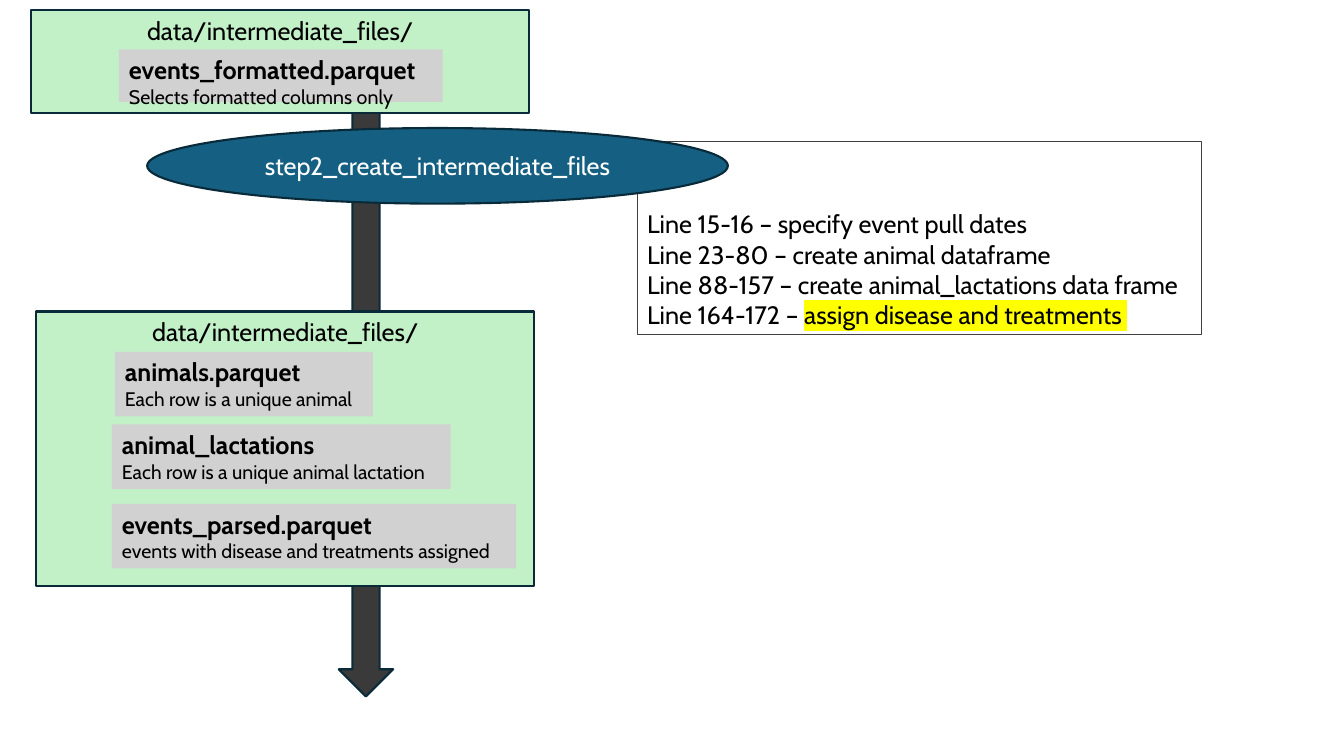
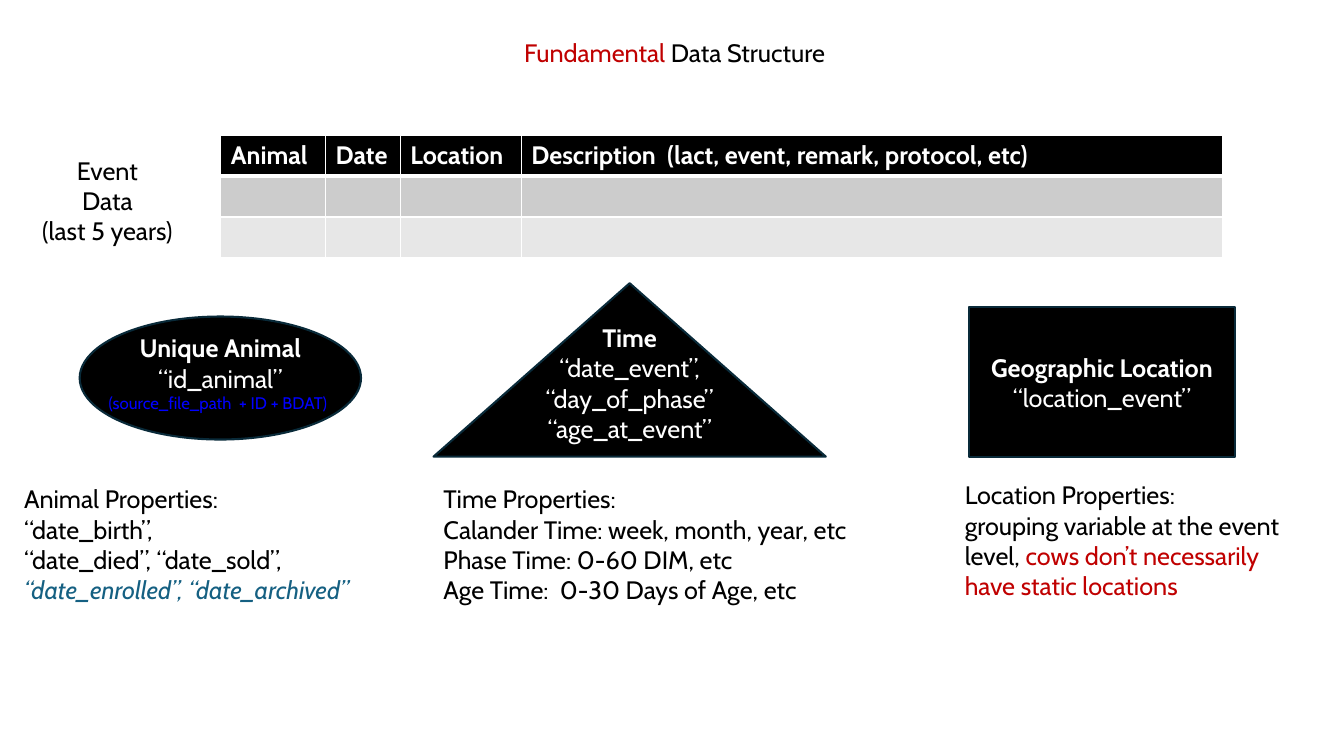
import pptx
import pptx.util
import pptx.dml.color
import pptx.enum.shapes
import pptx.enum.text
import pptx.oxml
import pptx.oxml.ns

Inches = pptx.util.Inches
Pt = pptx.util.Pt
RGBColor = pptx.dml.color.RGBColor
SHAPE = pptx.enum.shapes.MSO_SHAPE
ALIGN = pptx.enum.text.PP_ALIGN
ANCHOR = pptx.enum.text.MSO_ANCHOR

BLACK = RGBColor(0x00, 0x00, 0x00)
WHITE = RGBColor(0xFF, 0xFF, 0xFF)
NAVY = RGBColor(0x09, 0x2A, 0x39)
TEAL = RGBColor(0x15, 0x60, 0x82)
MINT = RGBColor(0xC2, 0xF1, 0xC8)
SILVER = RGBColor(0xD1, 0xD1, 0xD1)
CHARCOAL = RGBColor(0x3A, 0x3A, 0x3A)
FRAME = RGBColor(0x40, 0x40, 0x40)
RED = RGBColor(0xC0, 0x00, 0x00)
BLUE = RGBColor(0x00, 0x00, 0xFF)
YELLOW = RGBColor(0xFF, 0xFF, 0x00)
ROW_FILLS = [BLACK, RGBColor(0xCC, 0xCC, 0xCC), RGBColor(0xE7, 0xE7, 0xE7)]

BODY = {"name": "Cabin", "size": Pt(18), "bold": False, "italic": False}
BOLD = {"bold": True}
DETAIL = {"size": Pt(14)}


def set_highlight(span, color):
    properties = span.font._element
    mark = pptx.oxml.parse_xml(
        f'<a:highlight {pptx.oxml.ns.nsdecls("a")}><a:srgbClr val="{color}"/></a:highlight>')
    properties.find(pptx.oxml.ns.qn("a:solidFill")).addnext(mark)


def write_span(para, text, style):
    span = para.add_run()
    span.text = text
    style = dict(style)
    span.font.color.rgb = style.pop("color")
    highlight = style.pop("highlight", None)
    if highlight is not None:
        set_highlight(span, highlight)
    for name, value in style.items():
        setattr(span.font, name, value)


def write_lines(frame, lines, color=BLACK, align=ALIGN.LEFT, anchor=ANCHOR.TOP, bottom=0.05):
    layout = {"word_wrap": True, "vertical_anchor": anchor, "margin_bottom": Inches(bottom)}
    for name, value in layout.items():
        setattr(frame, name, value)
    for index, line in enumerate(lines):
        para = frame.paragraphs[0] if index == 0 else frame.add_paragraph()
        para.alignment = align
        for text, style in [(line, {})] if isinstance(line, str) else line:
            write_span(para, text, {**BODY, "color": color, **style})


def add_figure(page, kind, box, fill=None, line=NAVY, weight=1.5, lines=(), **layout):
    figure = page.shapes.add_shape(kind, *map(Inches, box))
    figure.shadow.inherit = False
    if fill is None:
        figure.fill.background()
    else:
        figure.fill.solid()
        figure.fill.fore_color.rgb = fill
    if line is None:
        figure.line.fill.background()
    else:
        figure.line.color.rgb = line
        figure.line.width = Pt(weight)
    write_lines(figure.text_frame, lines, **layout)


def add_text(page, box, lines, **layout):
    write_lines(page.shapes.add_textbox(*map(Inches, box)).text_frame, lines, **layout)


def add_folder(page, box, files):
    left, top = box[:2]
    add_figure(page, SHAPE.RECTANGLE, box, MINT,
               lines=["data/intermediate_files/"], align=ALIGN.CENTER)
    for (x, y, width, height), name, detail in files:
        add_figure(page, SHAPE.RECTANGLE, (left + x, top + y, width, height), SILVER, line=None,
                   lines=[[(name, BOLD)], [(detail, DETAIL)]])


def add_step(page, box, name, notes):
    left, top = box[:2]
    add_figure(page, SHAPE.RECTANGLE, (left + 4.86, top + 0.13, 5.6, 1.92),
               line=FRAME, weight=0.75, lines=notes, anchor=ANCHOR.BOTTOM)
    add_figure(page, SHAPE.OVAL, box, TEAL, lines=[name], color=WHITE,
               align=ALIGN.CENTER, anchor=ANCHOR.MIDDLE)


def build_pipeline(page):
    add_figure(page, SHAPE.DOWN_ARROW, (3.36, 0.81, 0.54, 6.1), CHARCOAL)
    add_folder(page, (0.36, 3.09, 4.94, 2.72), [
        ((0.78, 0.4, 2.56, 0.64), "animals.parquet", "Each row is a unique animal"),
        ((0.75, 1.12, 3.36, 0.64), "animal_lactations", "Each row is a unique animal lactation"),
        ((0.75, 1.91, 4.01, 0.64), "events_parsed.parquet",
         "events with disease and treatments assigned"),
    ])
    add_folder(page, (0.31, 0.1, 4.94, 1.02), [
        ((0.87, 0.39, 3.21, 0.52), "events_formatted.parquet", "Selects formatted columns only"),
    ])
    add_step(page, (1.46, 1.27, 5.76, 0.75), "step2_create_intermediate_files", [
        "Line 15-16 – specify event pull dates",
        "Line 23-80 – create animal dataframe",
        "Line 88-157 – create animal_lactations data frame",
        [("Line 164-172 – ", {}), ("assign disease and treatments ", {"highlight": YELLOW})],
    ])


def set_borders(cell, bottom):
    properties = cell._tc.get_or_add_tcPr()
    for index, (side, weight) in enumerate({"L": 1, "R": 1, "T": 1, "B": bottom}.items()):
        properties.insert(index, pptx.oxml.parse_xml(
            f'<a:ln{side} {pptx.oxml.ns.nsdecls("a")} w="{Pt(weight)}">'
            f'<a:solidFill><a:srgbClr val="{WHITE}"/></a:solidFill></a:ln{side}>'))


def add_event_table(page, box, widths, headings):
    table = page.shapes.add_table(len(ROW_FILLS), len(widths), *map(Inches, box)).table
    for column, width in zip(table.columns, widths):
        column.width = Inches(width)
    for row_index, (row, fill) in enumerate(zip(table.rows, ROW_FILLS)):
        row.height = Inches(box[3] / len(ROW_FILLS))
        for cell, heading in zip(row.cells, headings):
            cell.fill.solid()
            cell.fill.fore_color.rgb = fill
            set_borders(cell, 3 if row_index == 0 else 1)
            if row_index == 0:
                write_lines(cell.text_frame, [[(heading, BOLD)]], color=WHITE)


def add_concept(page, kind, box, title, fields, properties_box, properties, bottom=0.05):
    add_figure(page, kind, box, BLACK, lines=[[(title, BOLD)], *fields], color=WHITE,
               align=ALIGN.CENTER, anchor=ANCHOR.MIDDLE, bottom=bottom)
    add_text(page, properties_box, properties)


def build_structure(page):
    add_text(page, (5.1, 0.32, 3.35, 0.4),
             [[("Fundamental ", {"color": RED}), ("Data Structure", {})]])
    add_text(page, (0.28, 1.49, 1.57, 1.01), ["Event", "Data", "(last 5 years)"],
             align=ALIGN.CENTER)
    add_event_table(page, (2.19, 1.34, 9.94, 1.22), [1.04, 0.74, 1.2, 6.96],
                    ["Animal", "Date", "Location",
                     "Description  (lact, event, remark, protocol, etc)"])
    add_concept(page, SHAPE.OVAL, (0.79, 3.14, 2.79, 1.22), "Unique Animal", ["“id_animal”"],
                (0.14, 4.75, 3.76, 1.31), [
                    "Animal Properties:", "“date_birth”,", "“date_died”, “date_sold”,",
                    [("“date_enrolled”, “date_archived”", {"color": TEAL, "italic": True})],
                ], bottom=0.35)
    add_text(page, (0.98, 3.85, 2.5, 0.5),
             [[("(source_file_path  + ID + BDAT)", {"size": Pt(12), "color": BLUE})]])
    add_concept(page, SHAPE.ISOSCELES_TRIANGLE, (4.3, 2.81, 3.89, 1.72), "Time",
                ["“date_event”,", "“day_of_phase”", "“age_at_event”"],
                (4.3, 4.75, 4.35, 1.31), [
                    "Time Properties:", "Calander Time: week, month, year, etc",
                    "Phase Time: 0-60 DIM, etc", "Age Time:  0-30 Days of Age, etc",
                ], bottom=0.65)
    add_concept(page, SHAPE.RECTANGLE, (9.61, 3.05, 2.64, 1.48), "Geographic Location",
                ["“location_event”"], (9.47, 4.71, 3.48, 1.62), [
                    "Location Properties:",
                    [("grouping variable at the event level, ", {}),
                     ("cows don’t necessarily have static locations", {"color": RED})],
                ])


def main():
    deck = pptx.Presentation()
    deck.slide_width = Inches(13.33)
    deck.slide_height = Inches(7.5)
    for build in (build_pipeline, build_structure):
        build(deck.slides.add_slide(deck.slide_layouts[6]))
    deck.save("out.pptx")


if __name__ == "__main__":
    main()
